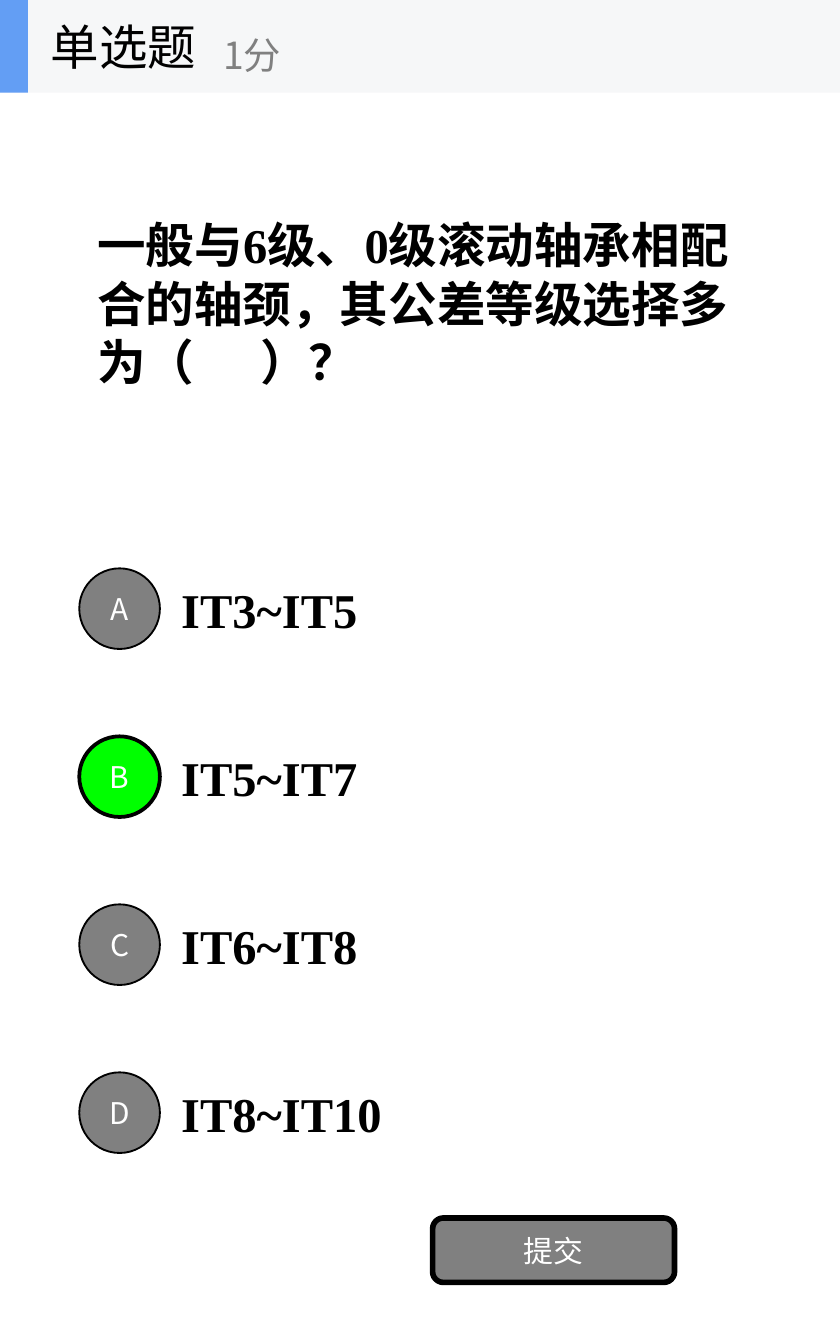
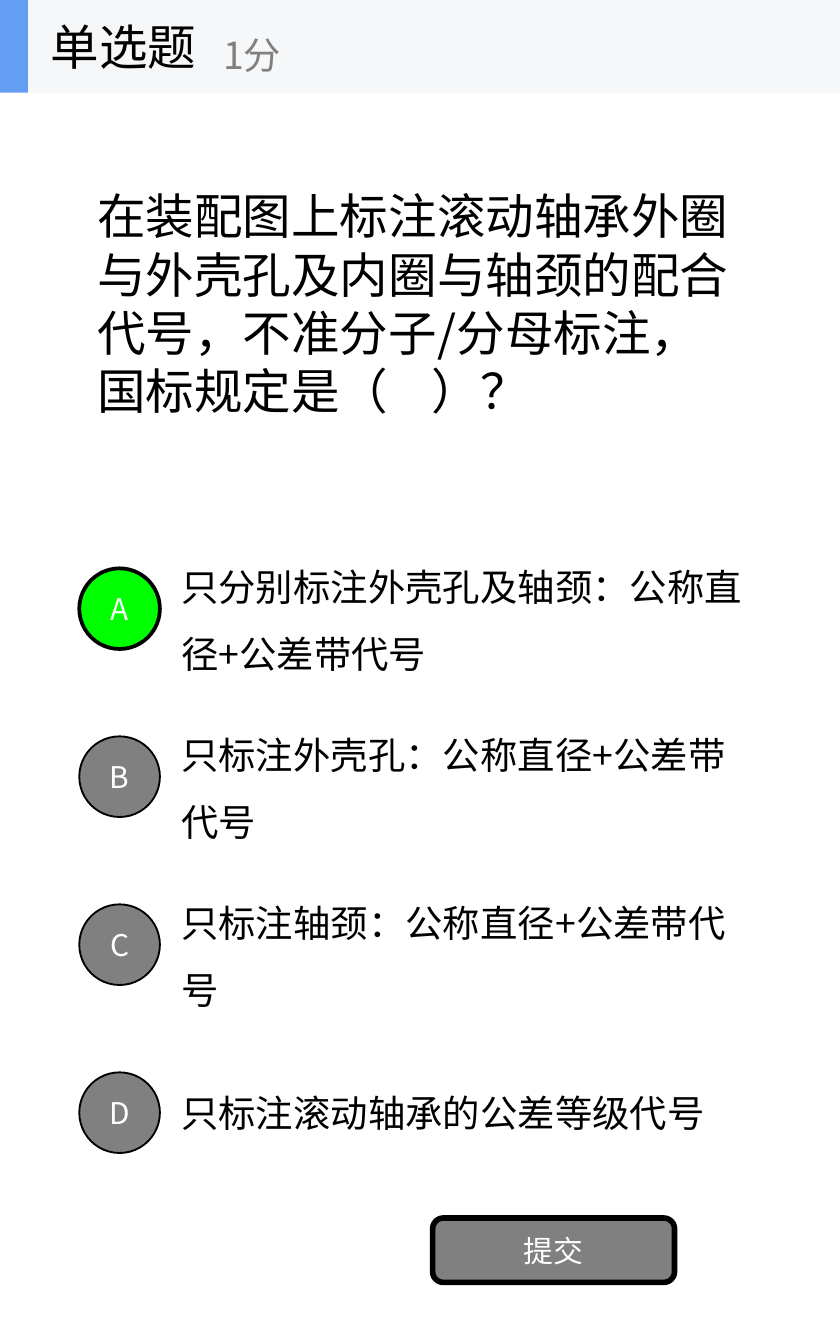
from lxml.etree import SubElement
from pptx import Presentation
from pptx.dml.color import RGBColor
from pptx.enum.shapes import MSO_SHAPE
from pptx.enum.text import MSO_ANCHOR, MSO_AUTO_SIZE, PP_ALIGN
from pptx.oxml.ns import qn
from pptx.util import Pt

COLOURS = {
    "text": "000000", "outline": "000000", "white": "FFFFFF",
    "grey": "808080", "correct": "00FF00",
    "band": "F6F7F8", "accent": "639EF4",
}
SANS = "Noto Sans CJK SC"
SERIF = "Times New Roman"

# Regions of a quiz page in points: left, top, width, height
PAGE_WIDTH, PAGE_HEIGHT = 450, 720
HEADER = (0, 0, PAGE_WIDTH, 49.7)
QUESTION = (45, 49.7, 360, 225)
OPTIONS = (42.5, 292.5, 362.5, 337.5)
SUBMIT = (231.8, 652.5, 129.6, 34.5)
OPTION_PITCH = 90

QUIZZES = [
    {
        "question": "一般与6级、0级滚动轴承相配合的轴颈，其公差等级选择多为（      ）？",
        "options": ["IT3~IT5", "IT5~IT7", "IT6~IT8", "IT8~IT10"],
        "answer": "B", "font": SERIF, "bold": True,
        "option_size": 26, "two_lines": "",
    },
    {
        "question": "在装配图上标注滚动轴承外圈与外壳孔及内圈与轴颈的配合代号，"
                    "不准分子/分母标注，国标规定是（    ）？",
        "options": ["只分别标注外壳孔及轴颈：公称直径+公差带代号",
                    "只标注外壳孔：公称直径+公差带代号",
                    "只标注轴颈：公称直径+公差带代号",
                    "只标注滚动轴承的公差等级代号"],
        "answer": "A", "font": SANS, "bold": False,
        "option_size": 20, "two_lines": "ABC",
    },
]


def colour(name):
    return RGBColor.from_string(COLOURS[name])


def write(shape, text, size, ink="text", font=SANS, bold=False,
          align=PP_ALIGN.LEFT, spacing=None):
    """Write one paragraph, centred vertically in the shape."""
    frame = shape.text_frame
    frame.word_wrap = True
    frame.auto_size = MSO_AUTO_SIZE.NONE
    frame.vertical_anchor = MSO_ANCHOR.MIDDLE
    para = frame.paragraphs[0]
    para.alignment = align
    if spacing:
        para.line_spacing = Pt(spacing)
    span = para.add_run()
    span.text = text
    span.font.size = Pt(size)
    span.font.bold = bold
    span.font.color.rgb = colour(ink)
    span.font.name = font
    SubElement(span._r.get_or_add_rPr(), qn("a:ea")).set("typeface", SANS)


def add_text(page, box, text, size, **style):
    shape = page.shapes.add_textbox(*map(Pt, box))
    write(shape, text, size, **style)


def add_block(page, kind, box, fill, line_width=0):
    shape = page.shapes.add_shape(kind, *map(Pt, box))
    shape.shadow.inherit = False
    shape.fill.solid()
    shape.fill.fore_color.rgb = colour(fill)
    if line_width:
        shape.line.color.rgb = colour("outline")
        shape.line.width = Pt(line_width)
    else:
        shape.line.fill.background()
    return shape


def add_button(page, kind, box, label, fill, line_width):
    button = add_block(page, kind, box, fill, line_width)
    frame = button.text_frame
    frame.margin_left = frame.margin_right = 0
    frame.margin_top = frame.margin_bottom = 0
    write(button, label, 16, ink="white", align=PP_ALIGN.CENTER)


def add_header(page, box):
    left, top, width, height = box
    add_block(page, MSO_SHAPE.RECTANGLE, box, "band")
    add_block(page, MSO_SHAPE.RECTANGLE, (left, top, 15, height), "accent")
    # The title is raised above the band
    title = page.shapes.title
    title.element.getparent().append(title.element)
    title.left, title.top = Pt(left + 20), Pt(top)
    title.width, title.height = Pt(150), Pt(height)
    write(title, "单选题", 26)
    add_text(page, (left + 112.5, top + 9, 180, 40.5), "1分", 20, ink="grey")


def add_options(page, box, quiz):
    left, top, width, _ = box
    for index, (letter, text) in enumerate(zip("ABCD", quiz["options"])):
        row = top + index * OPTION_PITCH
        spacing = 36 if letter in quiz["two_lines"] else None
        add_text(page, (left + 47.5, row, width - 47.5, 67.5), text,
                 quiz["option_size"], font=quiz["font"], bold=quiz["bold"],
                 spacing=spacing)
        correct = letter == quiz["answer"]
        add_button(page, MSO_SHAPE.OVAL, (left, row + 12, 43.2, 43.2), letter,
                   "correct" if correct else "grey", 2 if correct else 1)


def add_quiz(deck, quiz):
    page = deck.slides.add_slide(deck.slide_layouts[5])
    add_text(page, QUESTION, quiz["question"], 26, font=quiz["font"],
             bold=quiz["bold"], spacing=31.2)
    add_options(page, OPTIONS, quiz)
    add_button(page, MSO_SHAPE.ROUNDED_RECTANGLE, SUBMIT, "提交", "grey", 3)
    add_header(page, HEADER)


def main():
    deck = Presentation()
    deck.slide_width, deck.slide_height = Pt(PAGE_WIDTH), Pt(PAGE_HEIGHT)
    for quiz in QUIZZES:
        add_quiz(deck, quiz)
    deck.save("out.pptx")


if __name__ == "__main__":
    main()
